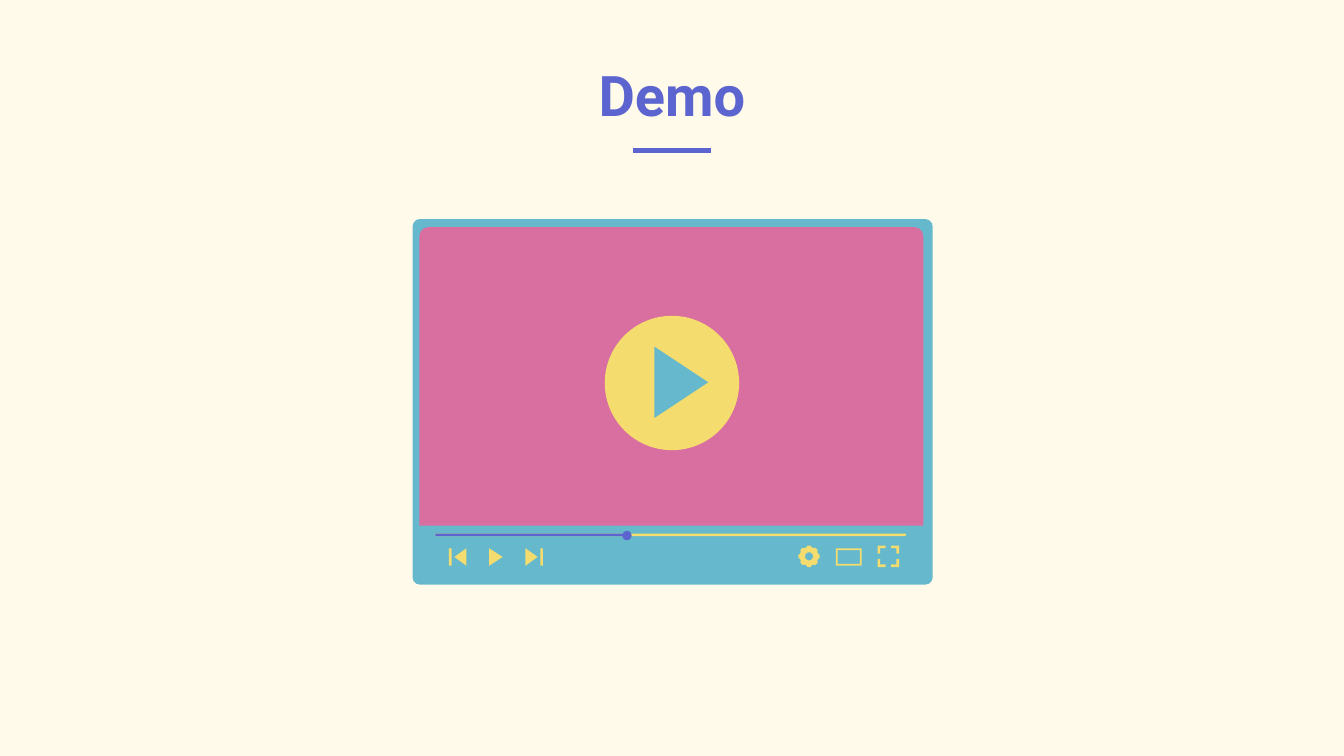
from math import cos, pi, sin

from lxml import etree
from pptx import Presentation
from pptx.dml.color import RGBColor
from pptx.enum.shapes import MSO_CONNECTOR, MSO_SHAPE
from pptx.enum.text import MSO_ANCHOR, PP_ALIGN
from pptx.oxml.ns import qn
from pptx.util import Inches, Pt

STRAIGHT = MSO_CONNECTOR.STRAIGHT
RECTANGLE = MSO_SHAPE.RECTANGLE
ROUNDED = MSO_SHAPE.ROUNDED_RECTANGLE
ROUND_TOP = MSO_SHAPE.ROUND_2_SAME_RECTANGLE
OVAL = MSO_SHAPE.OVAL
FRAME = MSO_SHAPE.FRAME
BOTTOM = MSO_ANCHOR.BOTTOM
CENTER = PP_ALIGN.CENTER

CREAM, INDIGO, TEAL, PINK, YELLOW = "FFFAEA", "5C65CF", "66B9CC", "D96FA0", "F5DC6E"


def color(hex_value):
    return RGBColor.from_string(hex_value)


def paint(shape, hex_value):
    shape.shadow.inherit = False
    shape.fill.solid()
    shape.fill.fore_color.rgb = color(hex_value)
    shape.line.fill.background()


# Widescreen deck, 16 by 9
deck = Presentation()
deck.slide_width = Inches(10)
deck.slide_height = Inches(10 * 9 / 16)
page = deck.slides.add_slide(deck.slide_layouts[5])
page.background.fill.solid()
page.background.fill.fore_color.rgb = color(CREAM)

# Title
title = page.shapes.title
title.left, title.top = Inches(0.78), Inches(0.22)
title.width, title.height = Inches(8.44), Inches(0.83)
frame = title.text_frame
frame_format = {"vertical_anchor": BOTTOM, "word_wrap": True}
for side in ("left", "top", "right", "bottom"):
    frame_format["margin_" + side] = Inches(0.1)
for name, value in frame_format.items():
    setattr(frame, name, value)
para = frame.paragraphs[0]
para.alignment = CENTER
span = para.add_run()
span.text = "Demo"
for name, value in {"name": "Roboto", "size": Pt(30), "bold": True}.items():
    setattr(span.font, name, value)
span.font.color.rgb = color(INDIGO)

# Rule under the title
rule = page.shapes.add_connector(STRAIGHT, Inches(4.71), Inches(1.12), Inches(5.29), Inches(1.12))
rule.line.color.rgb = color(INDIGO)
rule.line.width = Pt(3)
etree.SubElement(rule._element.spPr, qn("a:effectLst"))

# Player parts: preset, left, top, width, height, colour, adjustments
player_parts = [
    (ROUNDED, 3.07, 1.63, 3.87, 2.72, TEAL, [0.02]),
    (ROUND_TOP, 3.12, 1.69, 3.75, 2.22, PINK, [0.03, 0]),
    (OVAL, 4.5, 2.35, 1, 1, YELLOW, []),
    (RECTANGLE, 3.24, 3.97, 3.5, 0.02, YELLOW, []),
    (RECTANGLE, 3.24, 3.97, 1.43, 0.02, INDIGO, []),
    (OVAL, 4.63, 3.95, 0.07, 0.07, INDIGO, []),
    (RECTANGLE, 3.34, 4.08, 0.02, 0.13, YELLOW, []),
    (RECTANGLE, 4.02, 4.08, 0.02, 0.13, YELLOW, []),
    (FRAME, 6.22, 4.08, 0.19, 0.13, YELLOW, [0.1]),
]
for preset, left, top, width, height, fill, adjustments in player_parts:
    part = page.shapes.add_shape(preset, Inches(left), Inches(top), Inches(width), Inches(height))
    paint(part, fill)
    for index, value in enumerate(adjustments):
        part.adjustments[index] = value

# Outlines: colour and one or more closed contours
outlines = []

# Triangles: base x, tip x, top, bottom
for base, tip, top, bottom, fill in [
    (4.87, 5.27, 2.58, 3.11, TEAL),
    (3.47, 3.38, 4.08, 4.21, YELLOW),
    (3.64, 3.74, 4.08, 4.21, YELLOW),
    (3.91, 4.0, 4.08, 4.21, YELLOW),
]:
    outlines.append((fill, [[(base, top), (base, bottom), (tip, (top + bottom) / 2)]]))

# Settings gear with eight teeth and a round hole
gear_x, gear_y = 6.02, 4.14
teeth = []
for tooth in range(8):
    for offset, radius in ((-0.28, 0.07), (-0.15, 0.08), (0.15, 0.08), (0.28, 0.07)):
        angle = tooth * pi / 4 + offset
        teeth.append((gear_x + radius * cos(angle), gear_y + radius * sin(angle)))
hole = [(gear_x + 0.03 * cos(step * pi / 12), gear_y - 0.03 * sin(step * pi / 12))
        for step in range(24)]
outlines.append((YELLOW, [teeth, hole]))

# Full-screen corners, each an L pointing to the centre
arm, thick = 0.06, 0.02
for x, inward_x in ((6.53, 1), (6.69, -1)):
    for y, inward_y in ((4.06, 1), (4.22, -1)):
        corner = [(0, 0), (arm, 0), (arm, thick), (thick, thick), (thick, arm), (0, arm)]
        outlines.append((YELLOW, [[(x + inward_x * dx, y + inward_y * dy) for dx, dy in corner]]))

for fill, contours in outlines:
    builder = None
    for contour in contours:
        points = [(Inches(x), Inches(y)) for x, y in contour]
        if builder is None:
            builder = page.shapes.build_freeform(*points[0])
        else:
            builder.move_to(*points[0])
        builder.add_line_segments(points[1:], close=True)
    paint(builder.convert_to_shape(), fill)

deck.save("out.pptx")
